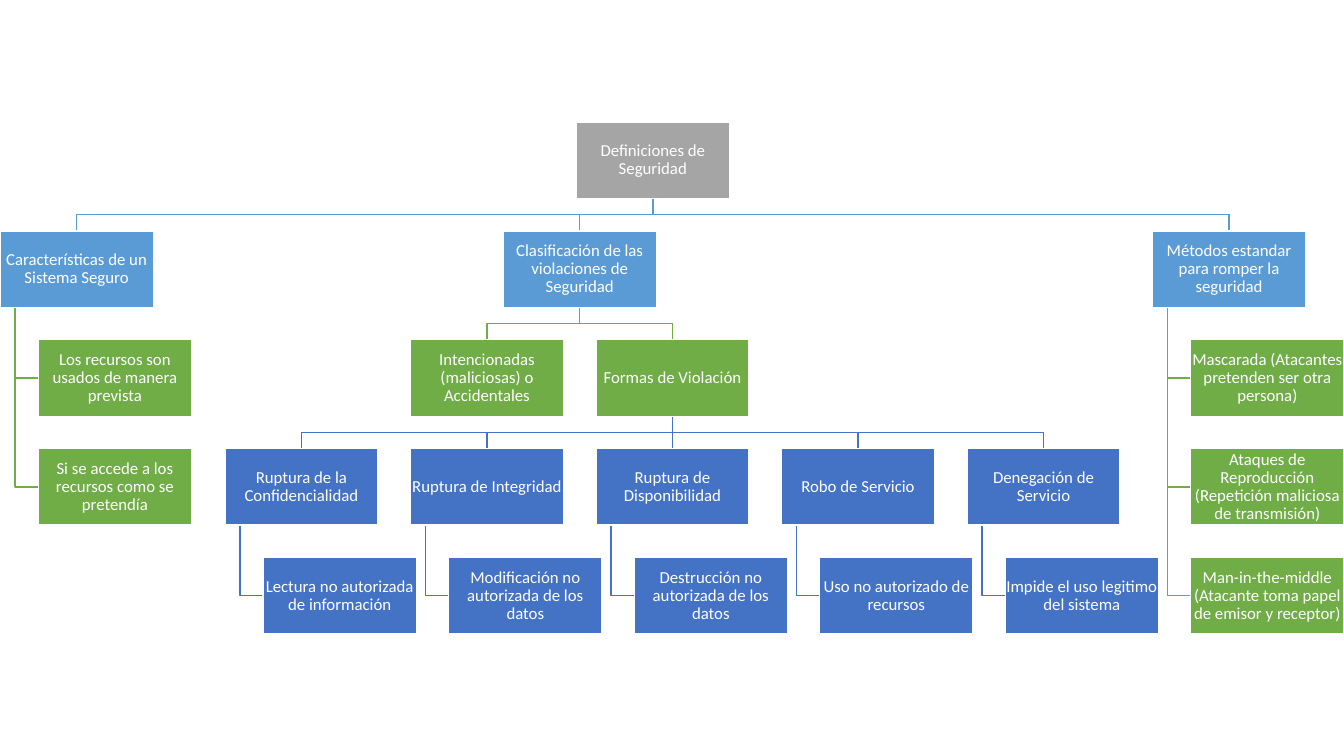
from pptx import Presentation
from pptx.dml.color import RGBColor
from pptx.enum.shapes import MSO_CONNECTOR, MSO_SHAPE
from pptx.enum.text import MSO_ANCHOR, PP_ALIGN
from pptx.oxml import parse_xml
from pptx.oxml.ns import nsdecls
from pptx.util import Inches, Pt

COLORS = {"root": "A5A5A5", "topic": "5B9BD5", "detail": "70AD47",
          "violation": "4472C4", "white": "FFFFFF"}
WIDTH, HEIGHT = 1.52, 0.76
ROW_STEP = 1.08      # from one level to the next
COLUMN_STEP = 1.84   # between siblings side by side
INDENT = 0.38        # hanging child against its parent
STEM = 0.15          # vertical line of hanging children

# Branches: (text, hanging children)
VIOLATIONS = [
    ("Ruptura de la Confidencialidad", ["Lectura no autorizada de información"]),
    ("Ruptura de Integridad", ["Modificación no autorizada de los datos"]),
    ("Ruptura de Disponibilidad", ["Destrucción no autorizada de los datos"]),
    ("Robo de Servicio", ["Uso no autorizado de recursos"]),
    ("Denegación de Servicio", ["Impide el uso legitimo del sistema"]),
]
FEATURES = ("Características de un Sistema Seguro", [
    "Los recursos son usados de manera prevista",
    "Si se accede a los recursos como se pretendía"])
METHODS = ("Métodos estandar para romper la seguridad", [
    "Mascarada (Atacantes pretenden ser otra persona)",
    "Ataques de Reproducción (Repetición maliciosa de transmisión)",
    "Man-in-the-middle (Atacante toma papel de emisor y receptor)"])


def color(name):
    return RGBColor.from_string(COLORS[name])


def add_text(shape, text, size=12, font="Calibri", ink="white"):
    frame = shape.text_frame
    frame.word_wrap = True
    frame.vertical_anchor = MSO_ANCHOR.MIDDLE
    frame.margin_left = frame.margin_right = Inches(0.01)
    frame.margin_top = frame.margin_bottom = Inches(0.01)
    para = frame.paragraphs[0]
    para.alignment = PP_ALIGN.CENTER
    para.line_spacing = 0.9
    span = para.add_run()
    span.text = text
    span.font.size, span.font.name = Pt(size), font
    span.font.color.rgb = color(ink)


def add_box(page, text, left, top, fill):
    box = page.shapes.add_shape(MSO_SHAPE.RECTANGLE, Inches(left), Inches(top),
                                Inches(WIDTH), Inches(HEIGHT))
    box.shadow.inherit = False
    box.fill.solid()
    box.fill.fore_color.rgb = color(fill)
    box.line.color.rgb = color("white")
    box.line.width = Pt(1)
    add_text(box, text)


def add_link(page, points, ink):
    points = [(Inches(x), Inches(y)) for x, y in points]
    if len({x for x, y in points}) == 1:
        link = page.shapes.add_connector(MSO_CONNECTOR.STRAIGHT, *points[0], *points[-1])
        link._element.spPr.append(parse_xml(f"<a:effectLst {nsdecls('a')}/>"))
    else:
        builder = page.shapes.build_freeform(*points[0])
        builder.add_line_segments(points[1:], close=False)
        link = builder.convert_to_shape()
        link.shadow.inherit = False
        link.fill.background()
    link.line.color.rgb = color(ink)
    link.line.width = Pt(1)


def link_row(page, left, top, child_lefts, ink):
    """Link a parent box to children side by side on the next level."""
    start, end = top + HEIGHT, top + ROW_STEP
    middle = (start + end) / 2
    center = left + WIDTH / 2
    for child_left in child_lefts:
        target = child_left + WIDTH / 2
        add_link(page, [(center, start), (center, middle),
                        (target, middle), (target, end)], ink)


def hanging_branch(page, branch, left, top, fill, child_fill):
    """Parent box with children stacked below and indented."""
    text, children = branch
    rows = [top + ROW_STEP * level for level in range(1, len(children) + 1)]
    for row in rows:
        middle = row + HEIGHT / 2
        add_link(page, [(left + STEM, top + HEIGHT), (left + STEM, middle),
                        (left + INDENT, middle)], child_fill)
    add_box(page, text, left, top, fill)
    for child, row in zip(children, rows):
        add_box(page, child, left + INDENT, row, child_fill)


def spread(left, count):
    """Left edges of equal columns centred under a parent."""
    return [left + (index - (count - 1) / 2) * COLUMN_STEP for index in range(count)]


def classification_branch(page, left, top):
    kinds_top, violations_top = top + ROW_STEP, top + 2 * ROW_STEP
    kind_lefts = spread(left, 2)
    forms_left = kind_lefts[1]
    violation_lefts = spread(forms_left, len(VIOLATIONS))
    link_row(page, left, top, kind_lefts, "detail")
    link_row(page, forms_left, kinds_top, violation_lefts, "violation")
    add_box(page, "Clasificación de las violaciones de Seguridad", left, top, "topic")
    add_box(page, "Intencionadas (maliciosas) o Accidentales",
            kind_lefts[0], kinds_top, "detail")
    add_box(page, "Formas de Violación", forms_left, kinds_top, "detail")
    for violation, violation_left in zip(VIOLATIONS, violation_lefts):
        hanging_branch(page, violation, violation_left, violations_top,
                       "violation", "violation")


def definitions_chart(page, left, top):
    topic_lefts = [left, left + 4.99, left + 11.43]
    root_left = (topic_lefts[0] + topic_lefts[-1]) / 2
    topics_top = top + ROW_STEP
    link_row(page, root_left, top, topic_lefts, "topic")
    add_box(page, "Definiciones de Seguridad", root_left, top, "root")
    hanging_branch(page, FEATURES, topic_lefts[0], topics_top, "topic", "detail")
    classification_branch(page, topic_lefts[1], topics_top)
    hanging_branch(page, METHODS, topic_lefts[2], topics_top, "topic", "detail")


deck = Presentation()
deck.slide_width, deck.slide_height = Inches(13.33), Inches(7.5)
page = deck.slides.add_slide(deck.slide_layouts[6])
definitions_chart(page, left=0, top=1.21)
deck.save("out.pptx")
